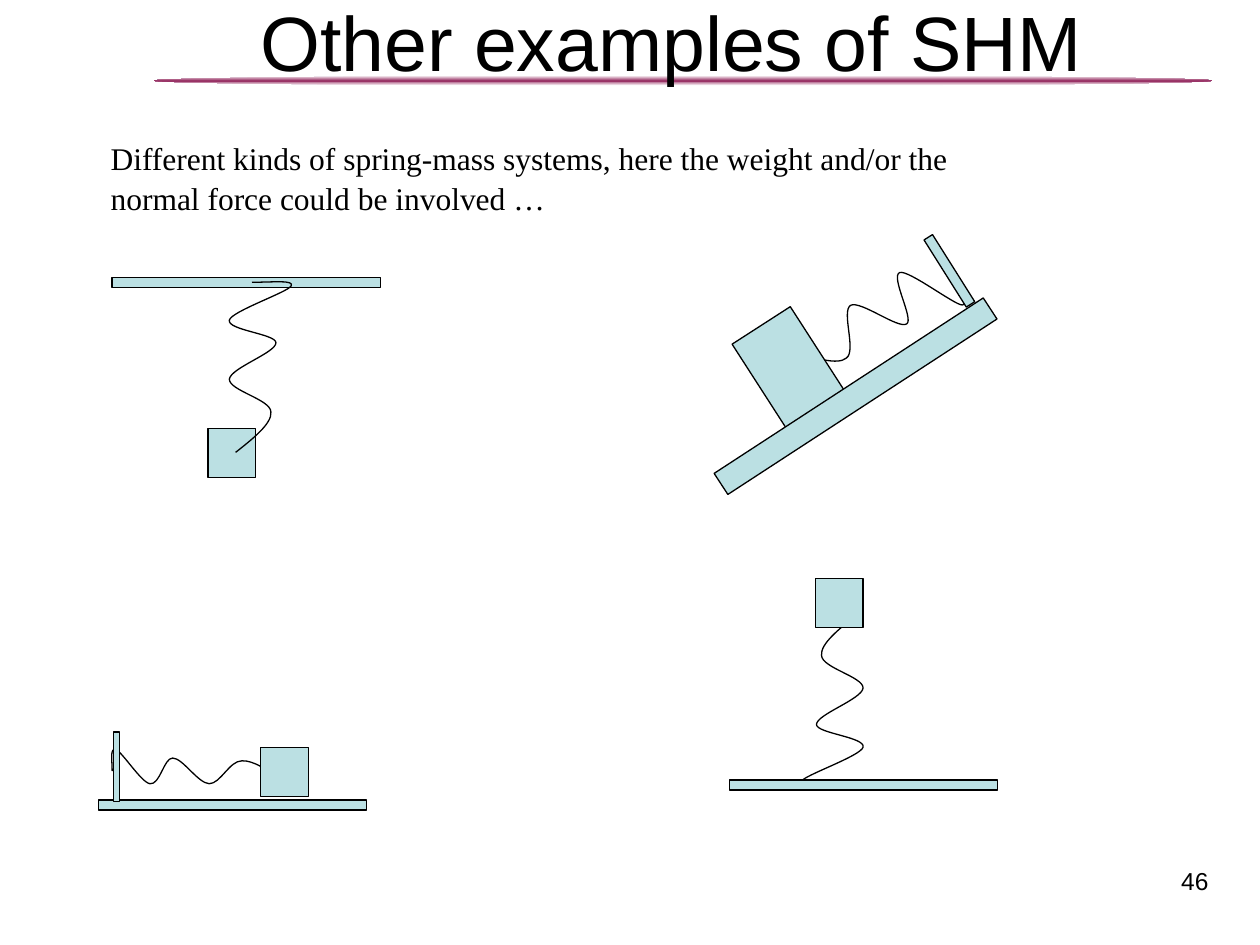
from copy import deepcopy
from dataclasses import dataclass

from lxml.etree import SubElement
from pptx import Presentation
from pptx.dml.color import RGBColor
from pptx.enum.shapes import MSO_SHAPE
from pptx.enum.text import PP_ALIGN
from pptx.oxml.ns import qn
from pptx.util import Inches, Pt

BLACK = RGBColor(0x00, 0x00, 0x00)
WHITE = RGBColor(0xFF, 0xFF, 0xFF)
PALE_BLUE = RGBColor(0xBB, 0xE0, 0xE3)
PLUM = RGBColor(0x99, 0x33, 0x66)

# Spring curve in hundredths of an inch: start, then (control, control, end)
SPRING_START = (18, 0)
SPRING_CURVES = [
    ((35, 0), (52, -2), (49, 3)),
    ((46, 8), (2, 23), (0, 30)),
    ((-2, 38), (37, 41), (37, 48)),
    ((37, 56), (1, 68), (0, 77)),
    ((0, 86), (33, 93), (33, 103)),
    ((34, 112), (19, 124), (5, 135)),
]


@dataclass
class Part:
    left: float
    top: float
    width: float
    height: float
    rotation: float = 0


@dataclass
class Block(Part):
    pass


@dataclass
class Spring(Part):
    pass


@dataclass
class Label(Part):
    text: str = ""
    format: dict | None = None
    align: PP_ALIGN = PP_ALIGN.LEFT
    top_margin: float = 0.05
    line_spacing: float = 1.0


BAR = (2.13, 0.08)
MASS = (0.38, 0.39)
COIL = (0.49, 1.35)

# Each system is listed from back to front
HANGING = [Block(0.89, 2.2, *BAR), Block(1.65, 3.4, *MASS), Spring(1.82, 2.24, *COIL)]
INCLINED = [
    Spring(6.72, 1.9, *COIL, 56.3),
    Block(7.22, 2.11, 0.63, 0.08, 57.8),
    Block(5.86, 2.64, 0.79, 0.55, 57.2),
    Block(6.69, 1.87, 0.2, 2.55, 56.9),
]
HORIZONTAL = [
    Spring(1.43, 5.41, 0.27, 1.35, 270),
    Block(0.78, 6.35, *BAR),
    Block(0.65, 6.06, 0.55, 0.05, 90),
    Block(2.07, 5.93, *MASS),
]
STANDING = [Spring(6.36, 4.88, *COIL, 180), Block(5.79, 6.19, *BAR), Block(6.47, 4.59, *MASS)]

LABELS = [
    Label(0.83, -0.16, 9, 1.25, text="Other examples of SHM",
          format={"name": "Arial", "size": Pt(44)}, align=PP_ALIGN.CENTER, top_margin=0.12),
    Label(7.36, 6.82, 2.33, 0.45, text="46",
          format={"name": "Arial", "size": Pt(14)}, align=PP_ALIGN.RIGHT),
    Label(0.78, 1.04, 7.37, 0.71,
          text="Different kinds of spring-mass systems, here the weight and/or the "
               "normal force could be involved …",
          format={"name": "Times New Roman", "size": Pt(18)}, line_spacing=1.05),
]


def frame(part: Part) -> tuple:
    return tuple(Inches(value) for value in (part.left, part.top, part.width, part.height))


def outline(shape, part: Part) -> None:
    shape.rotation = part.rotation
    shape.shadow.inherit = False
    shape.line.color.rgb = BLACK
    shape.line.width = Pt(0.75)


def draw_block(page, block: Block) -> None:
    shape = page.shapes.add_shape(MSO_SHAPE.RECTANGLE, *frame(block))
    shape.fill.solid()
    shape.fill.fore_color.rgb = PALE_BLUE
    outline(shape, block)


def draw_spring(page, spring: Spring) -> None:
    builder = page.shapes.build_freeform(*SPRING_START, scale=Inches(0.01))
    builder.add_line_segments([curve[-1] for curve in SPRING_CURVES], close=False)
    shape = builder.convert_to_shape()
    # Turn each straight segment into a cubic curve
    segments = list(shape._element.iter(qn("a:lnTo")))
    for segment, curve in zip(segments, SPRING_CURVES):
        cubic = SubElement(segment.getparent(), qn("a:cubicBezTo"))
        for x, y in curve:
            SubElement(cubic, qn("a:pt"), x=str(x), y=str(y))
        segment.getparent().replace(segment, cubic)
    shape.left, shape.top, shape.width, shape.height = frame(spring)
    shape.fill.background()
    outline(shape, spring)


def draw_label(page, label: Label) -> None:
    box = page.shapes.add_textbox(*frame(label))
    box.text_frame.word_wrap = True
    box.text_frame.margin_top = Inches(label.top_margin)
    para = box.text_frame.paragraphs[0]
    para.alignment = label.align
    para.line_spacing = label.line_spacing
    span = para.add_run()
    span.text = label.text
    for name, value in label.format.items():
        setattr(span.font, name, value)
    span.font.color.rgb = BLACK


def draw_title_rule(page) -> None:
    rule = page.shapes.add_shape(MSO_SHAPE.OVAL, *frame(Part(1.22, 0.6, 8.4, 0.08)))
    rule.shadow.inherit = False
    rule.line.fill.background()
    rule.fill.gradient()
    rule.fill.gradient_angle = 90
    # White at both edges, plum in the middle
    stop_list = next(rule._element.iter(qn("a:gsLst")))
    stop_list.append(deepcopy(stop_list[-1]))
    for stop, position, color in zip(rule.fill.gradient_stops, (0, 0.5, 1), (WHITE, PLUM, WHITE)):
        stop.position = position
        stop.color.rgb = color


def main() -> None:
    deck = Presentation()
    deck.slide_width, deck.slide_height = Inches(10), Inches(7.5)
    page = deck.slides.add_slide(deck.slide_layouts[6])

    draw_title_rule(page)
    for label in LABELS:
        draw_label(page, label)

    # Spring-mass systems
    painters = {Block: draw_block, Spring: draw_spring}
    for system in (HANGING, INCLINED, HORIZONTAL, STANDING):
        for part in system:
            painters[type(part)](page, part)

    deck.save("out.pptx")


if __name__ == "__main__":
    main()
